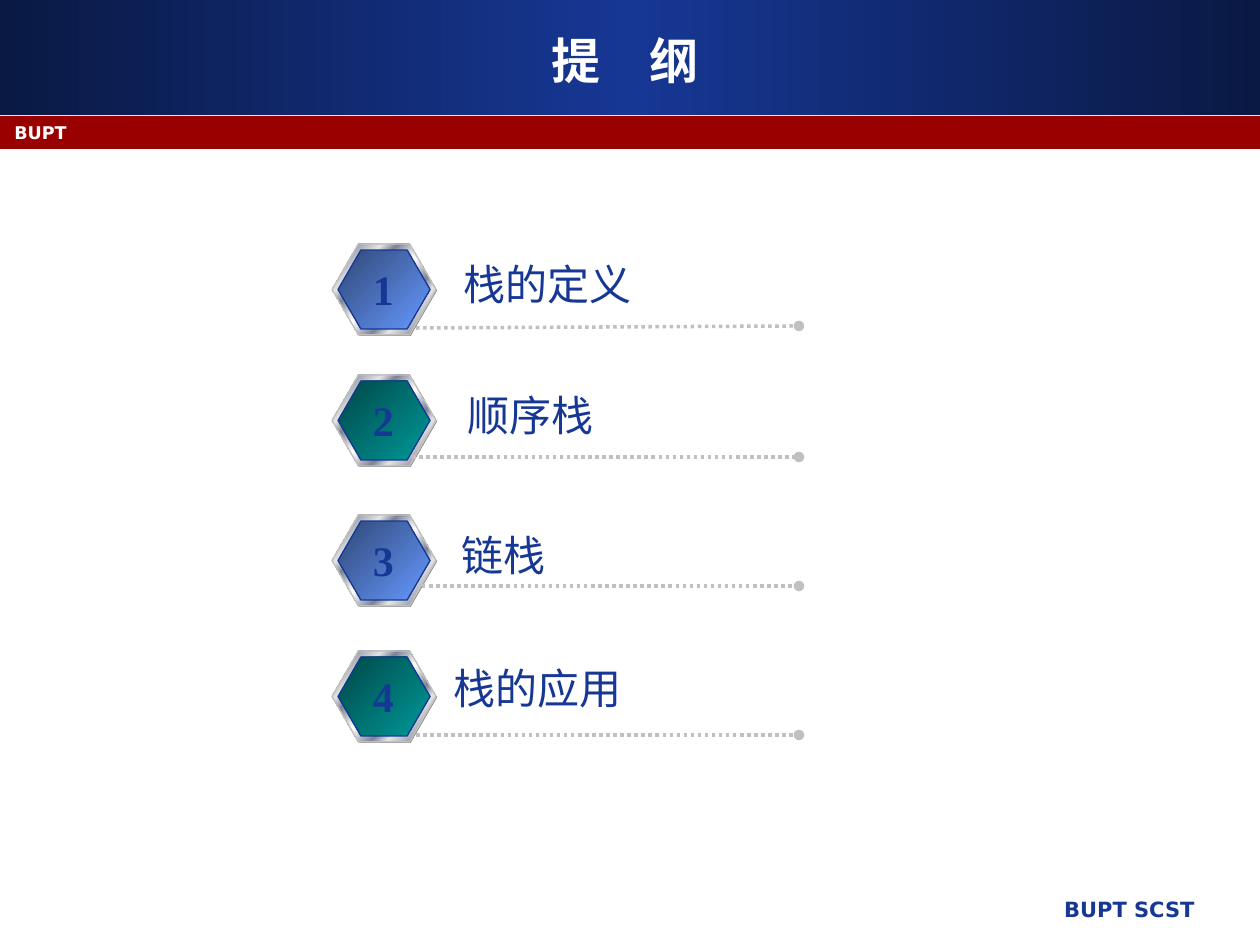
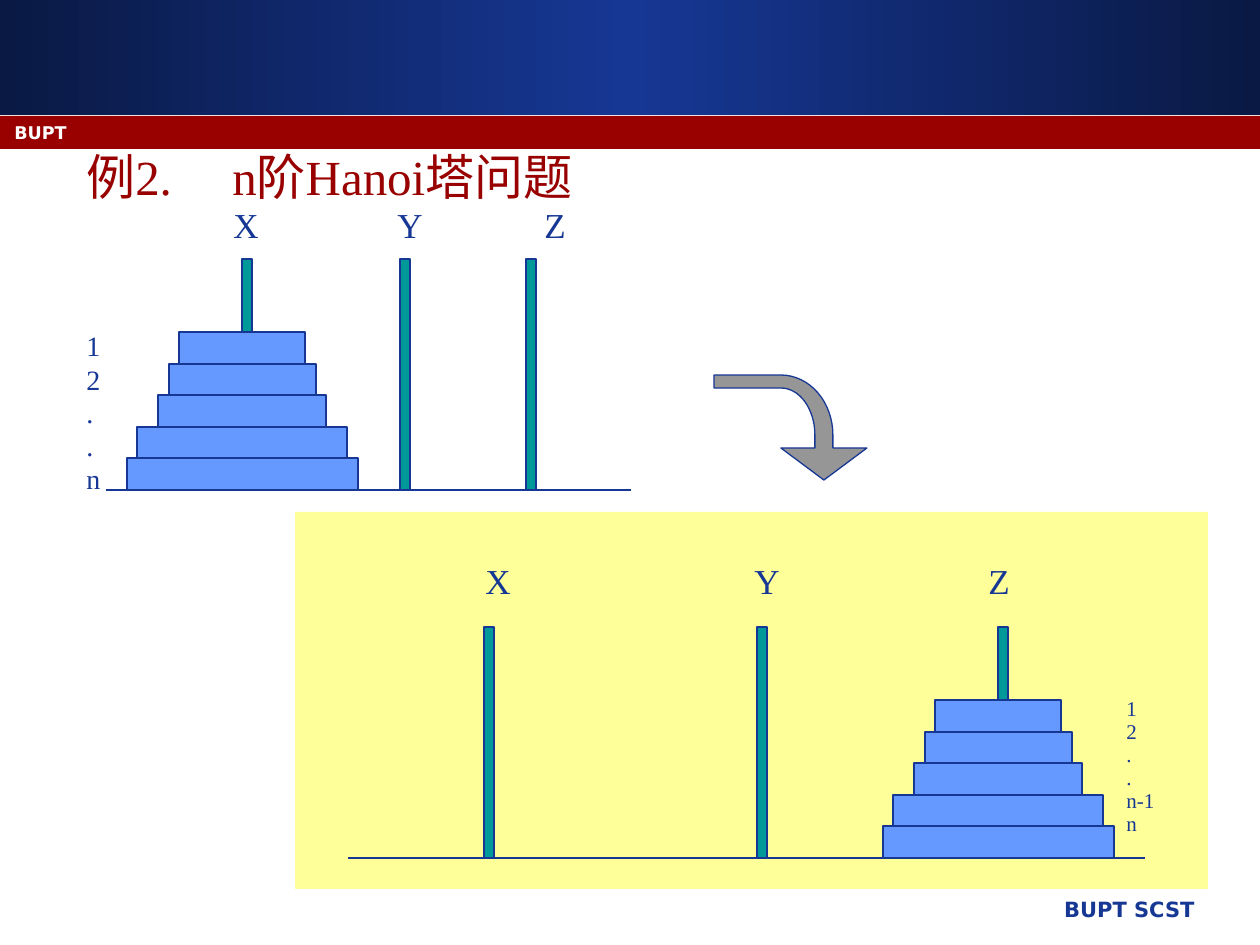
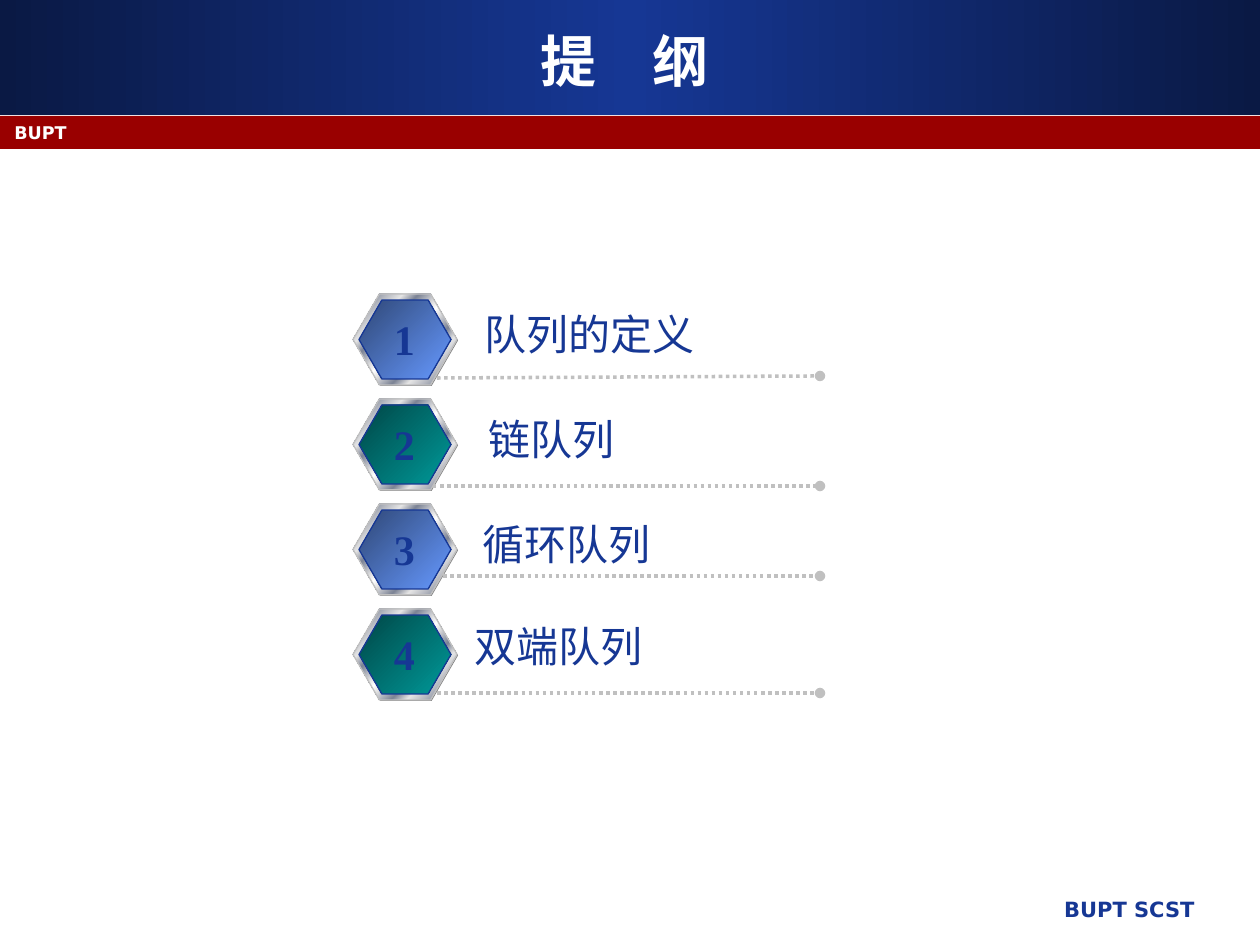
from dataclasses import dataclass
from math import cos, pi, sin

from lxml.etree import SubElement
from pptx import Presentation
from pptx.dml.color import RGBColor
from pptx.enum.dml import MSO_LINE
from pptx.enum.shapes import MSO_CONNECTOR, MSO_SHAPE
from pptx.enum.text import MSO_ANCHOR, PP_ALIGN
from pptx.oxml.ns import qn
from pptx.util import Emu, Pt

PX_PER_INCH = 126


@dataclass(frozen=True)
class Theme:
    navy: str = "163794"
    dark_navy: str = "0A1944"
    red: str = "990000"
    white: str = "FFFFFF"
    blue: str = "6699FF"
    dark_blue: str = "2F4776"
    green: str = "009999"
    dark_green: str = "004747"
    yellow: str = "FFFF99"
    gray: str = "969696"
    silver: str = "C0C0C0"
    shadow: str = "808080"
    bright: str = "E6E6E6"
    steel: str = "7D8496"
    sans: str = "DejaVu Sans"
    serif: str = "Times New Roman"
    hairline: float = 0.75
    dotted: float = 2
    tag: int = 10
    small: int = 12
    rank: int = 16
    peg: int = 20
    item: int = 24
    title: int = 28
    large_title: int = 32


@dataclass(frozen=True)
class Box:
    left: int
    top: int
    width: int
    height: int

    def inside(self, dx, dy, width, height):
        return Box(self.left + dx, self.top + dy, width, height)

    def emu(self):
        return [px(n) for n in (self.left, self.top, self.width, self.height)]


THEME = Theme()
SLIDE = Box(0, 0, 1260, 945)
INSET = 13  # side margin inside a text box
CHROME = [(0, THEME.bright), (8, THEME.steel), (26, THEME.bright),
          (34, THEME.steel), (46, THEME.bright), (50, THEME.white),
          (54, THEME.bright), (66, THEME.steel), (74, THEME.bright),
          (92, THEME.steel), (100, THEME.bright)]


def px(n):
    return Emu(round(n * 914400 / PX_PER_INCH))


# ---- Drawing helpers ----

def put_text(slide, box, text, *, size, color=THEME.navy, font=THEME.serif,
             bold=False, align=PP_ALIGN.LEFT, anchor=MSO_ANCHOR.TOP, wrap=True,
             line_spacing=None, space_before=0, tabs=()):
    frame = slide.shapes.add_textbox(*box.emu()).text_frame
    frame.word_wrap = wrap
    frame.vertical_anchor = anchor
    for i, line in enumerate(text.split("\n")):
        paragraph = frame.paragraphs[0] if i == 0 else frame.add_paragraph()
        paragraph.text = line
        paragraph.alignment = align
        if line_spacing:
            paragraph.line_spacing = line_spacing
        if i and space_before:
            paragraph.space_before = Pt(space_before)
        if tabs:
            tab_list = SubElement(paragraph._p.get_or_add_pPr(), qn("a:tabLst"))
            for stop in tabs:
                SubElement(tab_list, qn("a:tab"), pos=str(px(stop)), algn="l")
        for run in paragraph.runs:
            run.font.size = Pt(size)
            run.font.name = font
            run.font.bold = bold
            run.font.color.rgb = RGBColor.from_string(color)


def style(shape, fill=None, line=None):
    shape.shadow.inherit = False
    if fill:
        shape.fill.solid()
        shape.fill.fore_color.rgb = RGBColor.from_string(fill)
    if line:
        shape.line.color.rgb = RGBColor.from_string(line)
        shape.line.width = Pt(THEME.hairline)
    else:
        shape.line.fill.background()
    return shape


def put_shape(slide, preset, box, fill=None, line=None):
    return style(slide.shapes.add_shape(preset, *box.emu()), fill, line)


def set_gradient(shape, stops, angle):
    """Each stop is (percent, colour)."""
    shape.fill.gradient()
    gradient = shape._element.spPr.find(qn("a:gradFill"))
    for child in list(gradient):
        gradient.remove(child)
    stop_list = SubElement(gradient, qn("a:gsLst"))
    for percent, color in stops:
        stop = SubElement(stop_list, qn("a:gs"), pos=str(percent * 1000))
        SubElement(stop, qn("a:srgbClr"), val=color)
    SubElement(gradient, qn("a:lin"), ang=str(angle * 60000), scaled="1")


def put_line(slide, start, end, color, width, dotted=False):
    line = slide.shapes.add_connector(
        MSO_CONNECTOR.STRAIGHT, *(px(n) for n in (*start, *end)))
    line.line.color.rgb = RGBColor.from_string(color)
    line.line.width = Pt(width)
    if dotted:
        line.line.dash_style = MSO_LINE.ROUND_DOT
        SubElement(line.line._get_or_add_ln(), qn("a:tailEnd"), type="oval")
    SubElement(line._element.spPr, qn("a:effectLst"))


# ---- Shared frame ----

def add_frame(prs):
    slide = prs.slides.add_slide(prs.slide_layouts[6])
    header = put_shape(slide, MSO_SHAPE.RECTANGLE, SLIDE.inside(0, 0, 1260, 115))
    set_gradient(header, [(0, THEME.dark_navy), (50, THEME.navy),
                          (100, THEME.dark_navy)], 0)
    put_shape(slide, MSO_SHAPE.RECTANGLE, SLIDE.inside(0, 116, 1260, 33), THEME.red)
    put_text(slide, SLIDE.inside(530, 890, 677, 44), "BUPT SCST",
             size=THEME.small, font=THEME.sans, bold=True, align=PP_ALIGN.RIGHT)
    put_text(slide, SLIDE.inside(2, 116, 1166, 32), "BUPT", size=THEME.tag,
             font=THEME.sans, color=THEME.white, bold=True)
    return slide


# ---- Outline slides ----

def add_badge(slide, box, number, colors):
    layers = ((box.inside(1, 1, 104, 91), THEME.shadow, None),
              (box.inside(0, 0, 104, 91), None, THEME.silver),
              (box.inside(6, 6, 92, 79), None, THEME.navy))
    _, ring, core = hexagons = [
        put_shape(slide, MSO_SHAPE.HEXAGON, *layer) for layer in layers]
    for hexagon in hexagons:
        hexagon.adjustments[0] = 0.29
    set_gradient(ring, CHROME, 45)
    set_gradient(core, zip((0, 100), colors), 45)
    put_text(slide, box.inside(28, 13, 47, 64), str(number), size=THEME.item,
             bold=True, align=PP_ALIGN.CENTER, wrap=False)


BADGE_COLORS = ((THEME.dark_blue, THEME.blue), (THEME.dark_green, THEME.green))

# Per row, from the badge corner: label x, label y, dotted line x, line rise
ROWS = ((119, 8, 84, 2), (123, 8, 80, 0), (117, 8, 90, 0), (109, 5, 84, 0))


def add_outline(prs, title_size, left, items):
    """Each item is (label, badge top, drop to the end of the dotted line)."""
    slide = add_frame(prs)
    put_text(slide, SLIDE.inside(42, 21, 1166, 78), "提　纲", size=title_size,
             font=THEME.sans, color=THEME.white, bold=True,
             align=PP_ALIGN.CENTER, anchor=MSO_ANCHOR.MIDDLE)
    for i, ((label, top, drop), row) in enumerate(zip(items, ROWS)):
        label_x, label_y, line_x, rise = row
        box = Box(left, top, 467, 92)
        add_badge(slide, box, i + 1, BADGE_COLORS[i % 2])
        put_line(slide, (left + line_x, top + drop + rise),
                 (left + box.width, top + drop),
                 THEME.silver, THEME.dotted, dotted=True)
        put_text(slide, box.inside(label_x, label_y, 42 * len(label) + 2 * INSET, 63),
                 label, size=THEME.item, wrap=False)


# ---- Hanoi slide ----

DISC_WIDTHS = (231, 210, 168, 147, 126)  # from the bottom up
DISC_EDGES = (0, 32, 63, 95, 126, 158)  # heights above the base line
PEG_WIDTH, PEG_HEIGHT = 10, 231


def add_towers(slide, box, pegs, letters, loaded):
    """Three pegs on a base line; the discs lie on the peg `loaded`."""
    base = box.height
    put_line(slide, (box.left, box.top + base),
             (box.left + box.width, box.top + base), THEME.navy, THEME.hairline)
    for peg in pegs:
        put_shape(slide, MSO_SHAPE.RECTANGLE,
                  box.inside(peg, base - PEG_HEIGHT, PEG_WIDTH, PEG_HEIGHT),
                  THEME.green, THEME.navy)
    for width, low, high in zip(DISC_WIDTHS, DISC_EDGES, DISC_EDGES[1:]):
        put_shape(slide, MSO_SHAPE.RECTANGLE,
                  box.inside(pegs[loaded] - width // 2, base - high,
                             width, high - low), THEME.blue, THEME.navy)
    first = letters[0]
    put_text(slide, box.inside(first - INSET, 0, box.width - first, 54), "X\tY\tZ",
             size=THEME.peg, tabs=[x - first for x in letters[1:]])


def quarter_arc(center, radii, start, end, steps=16):
    angles = (start + (end - start) * i / steps for i in range(steps + 1))
    return [(center[0] + radii[0] * cos(a), center[1] - radii[1] * sin(a))
            for a in angles]


def add_bent_arrow(slide, box):
    bend = (67, 60)
    outline = [(110, 105), (153, 73), (119, 73),
               *quarter_arc(bend, (52, 60), 0, pi / 2),
               (0, 0), (0, 13),
               *quarter_arc(bend, (34, 47), pi / 2, 0),
               (101, 73), (67, 73)]
    points = [(px(box.left + x), px(box.top + y)) for x, y in outline]
    builder = slide.shapes.build_freeform(*points[0])
    builder.add_line_segments(points[1:], close=True)
    style(builder.convert_to_shape(), THEME.gray, THEME.navy)


def add_hanoi(prs):
    slide = add_frame(prs)
    put_text(slide, SLIDE.inside(74, 140, 1071, 740), "例2.\tn阶Hanoi塔问题",
             size=THEME.title, color=THEME.red, tabs=(146,))

    # Start position
    add_towers(slide, Box(106, 197, 525, 293), pegs=(136, 294, 420),
               letters=(128, 292, 439), loaded=0)
    put_text(slide, SLIDE.inside(74, 323, 42, 181), "1\n2\n.\n.\nn",
             size=THEME.rank, line_spacing=Pt(19))

    add_bent_arrow(slide, Box(714, 375, 153, 105))

    # Goal position
    panel = Box(295, 512, 913, 377)
    put_shape(slide, MSO_SHAPE.RECTANGLE, panel, THEME.yellow)
    add_towers(slide, panel.inside(53, 41, 797, 305), pegs=(136, 409, 650),
               letters=(138, 407, 641), loaded=2)
    put_text(slide, panel.inside(819, 188, 63, 152), "1\n2\n.\n.\nn-1\nn",
             size=THEME.small, line_spacing=0.5, space_before=6)


def main():
    prs = Presentation()
    prs.slide_width, prs.slide_height = px(SLIDE.width), px(SLIDE.height)
    add_outline(prs, THEME.title, 332, (
        ("栈的定义", 244, 82), ("顺序栈", 375, 82),
        ("链栈", 515, 71), ("栈的应用", 651, 84)))
    add_hanoi(prs)
    queue = (("队列的定义", 82), ("链队列", 87), ("循环队列", 72), ("双端队列", 84))
    add_outline(prs, THEME.large_title, 353, [
        (label, 294 + 105 * i, drop) for i, (label, drop) in enumerate(queue)])
    prs.save("out.pptx")


if __name__ == "__main__":
    main()
